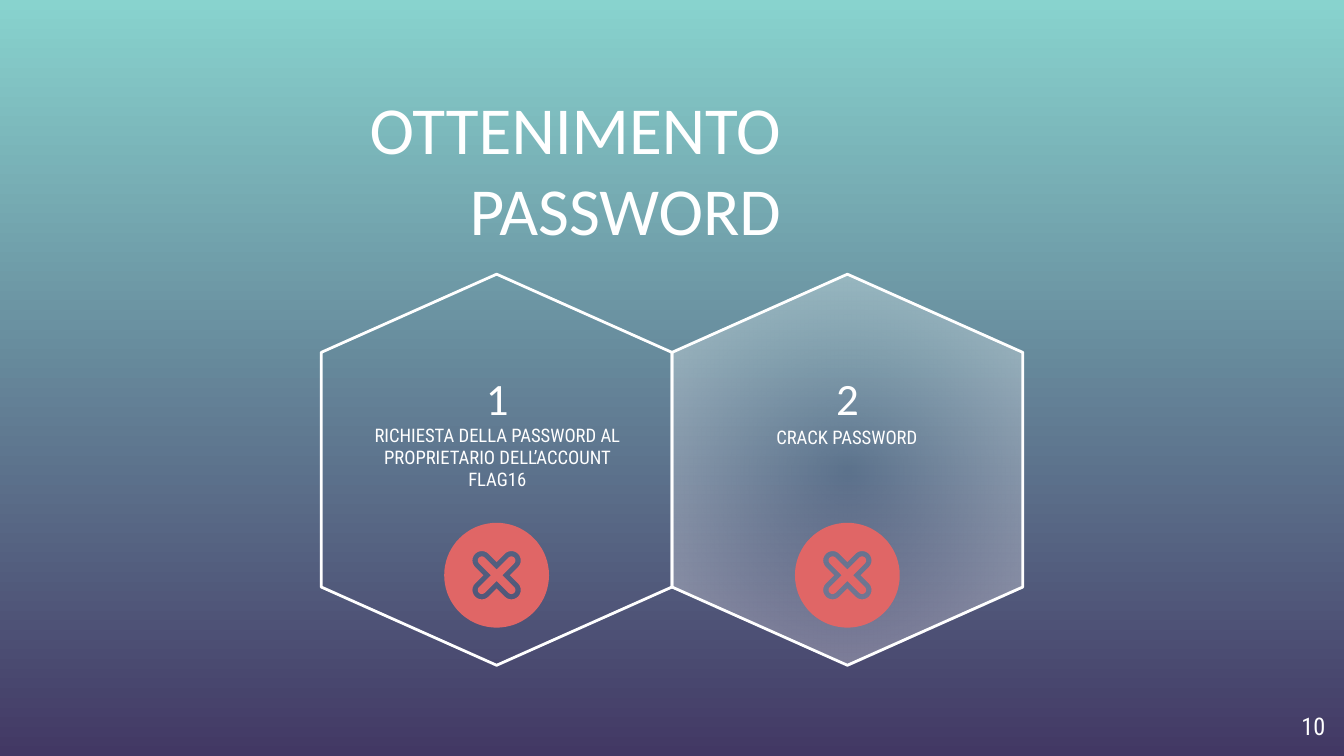
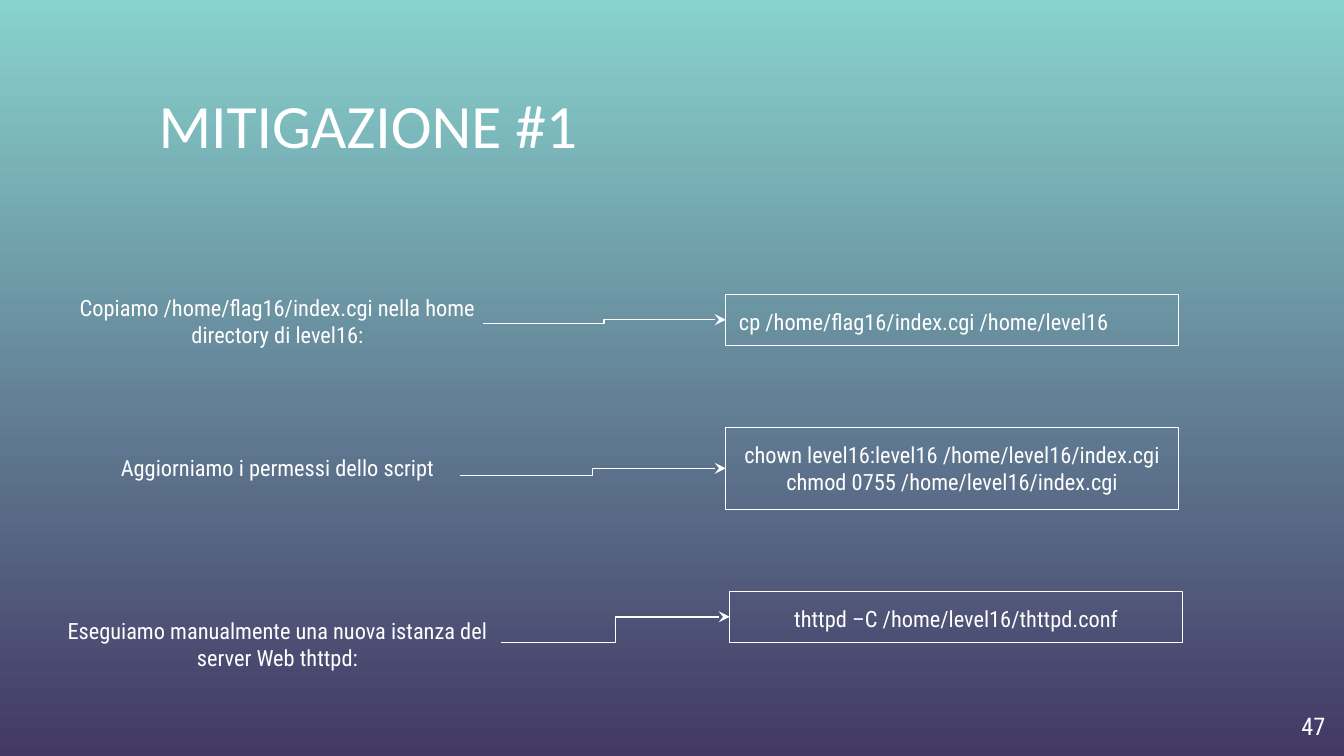
from math import cos, pi, sin, sqrt

from lxml import etree
from pptx import Presentation
from pptx.dml.color import RGBColor
from pptx.enum.shapes import MSO_CONNECTOR, MSO_SHAPE
from pptx.enum.text import MSO_ANCHOR, MSO_AUTO_SIZE, PP_ALIGN
from pptx.oxml import parse_xml
from pptx.oxml.ns import nsdecls, qn
from pptx.util import Inches, Pt

LEFT, CENTER, RIGHT = PP_ALIGN.LEFT, PP_ALIGN.CENTER, PP_ALIGN.RIGHT
TOP, BOTTOM = MSO_ANCHOR.TOP, MSO_ANCHOR.BOTTOM
HEXAGON, RECTANGLE = MSO_SHAPE.FLOWCHART_PREPARATION, MSO_SHAPE.RECTANGLE
TITLE_ONLY, TITLE_AND_BODY = 5, 1

PAGE_WIDTH = 10
PAGE_HEIGHT = PAGE_WIDTH * 9 / 16
WHITE, RED, TEAL, PURPLE = "FFFFFF", "E06666", "88D3CE", "423864"
TITLE_FONT, BODY_FONT = "Calibri", "Roboto Condensed"

ATTEMPTS = [
    # number, its box, text, its box, glowing hexagon
    ("1", (2.44, 2.97, 2.52, 0.29),
     "RICHIESTA DELLA PASSWORD AL PROPRIETARIO DELL’ACCOUNT FLAG16",
     (2.56, 3.05, 2.28, 1.31), False),
    ("2", (5, 2.97, 2.61, 0.29),
     "CRACK PASSWORD", (5.16, 3.07, 2.28, 1.31), True),
]
HEX_LEFT, HEX_TOP, HEX_LENGTH, HEX_WIDTH = 2.24, 2.19, 2.91, 2.61
ICON_Y = 4.28

STEPS = [
    # text, space before in points
    ("Copiamo /home/flag16/index.cgi nella home directory di level16:", 0),
    ("Aggiorniamo i permessi dello script", 57),
    ("Eseguiamo manualmente una nuova istanza del server Web thttpd:", 72.7),
]
COMMANDS = [
    # command, alignment, left, top, height, start of the arrow
    ("cp /home/flag16/index.cgi /home/level16",
     LEFT, 5.4, 2.19, 0.38, (3.59, 2.41)),
    ("chown level16:level16 /home/level16/index.cgi "
     "chmod 0755 /home/level16/index.cgi",
     CENTER, 5.4, 3.18, 0.61, (3.42, 3.54)),
    ("thttpd –C /home/level16/thttpd.conf",
     CENTER, 5.43, 4.4, 0.38, (3.73, 4.78)),
]
COMMAND_WIDTH = 3.37


def color(value):
    return RGBColor.from_string(value)


def inches(values):
    return [Inches(value) for value in values]


def write(shape, paragraphs, size, font=BODY_FONT, align=LEFT, anchor=TOP):
    """Fill a shape with (text, space before) paragraphs."""
    frame = shape.text_frame
    frame.word_wrap = True
    frame.auto_size = MSO_AUTO_SIZE.NONE
    frame.vertical_anchor = anchor
    frame.margin_left = frame.margin_right = Inches(0.1)
    frame.margin_top = frame.margin_bottom = Inches(0.1)
    for index, (text, space) in enumerate(paragraphs):
        para = frame.add_paragraph() if index else frame.paragraphs[0]
        para.alignment = align
        para.space_before = Pt(space)
        span = para.add_run()
        span.text = text
        span.font.name = font
        span.font.size = Pt(size)
        span.font.color.rgb = color(WHITE)


def add_text(page, place, text, size, **style):
    box = page.shapes.add_textbox(*inches(place))
    write(box, [(text, 0)], size, **style)


def place_shape(shape, place):
    shape.left, shape.top, shape.width, shape.height = inches(place)


def add_page(deck, layout, title, place, size, align, number):
    page = deck.slides.add_slide(deck.slide_layouts[layout])
    place_shape(page.shapes.title, place)
    write(page.shapes.title, [(title, 0)], size, font=TITLE_FONT, align=align)
    add_text(page, (9.36, 5.19, 0.6, 0.43), number, 13, align=RIGHT)
    return page


def add_outline(page, kind, place, weight):
    shape = page.shapes.add_shape(kind, *inches(place))
    shape.shadow.inherit = False
    shape.fill.background()
    shape.line.color.rgb = color(WHITE)
    shape.line.width = Pt(weight)
    return shape


def add_glow(shape):
    """Fill with white that grows from clear at the centre to 39% at the edge."""
    stops = "".join(
        f'<a:gs pos="{position}"><a:srgbClr val="{WHITE}">'
        f'<a:alpha val="{alpha}"/></a:srgbClr></a:gs>'
        for position, alpha in ((0, 0), (100000, 39000)))
    glow = parse_xml(
        f'<a:gradFill {nsdecls("a")}><a:gsLst>{stops}</a:gsLst>'
        '<a:path path="circle"><a:fillToRect l="50000" t="50000" '
        'r="50000" b="50000"/></a:path></a:gradFill>')
    properties = shape.element.spPr
    properties.replace(properties.find(qn("a:noFill")), glow)


def polar(x, y, radius, angle):
    return Inches(x + radius * cos(angle)), Inches(y + radius * sin(angle))


def circle(x, y, radius, count=72):
    return [polar(x, y, radius, 2 * pi * i / count) for i in range(count)]


def rounded_cross(x, y, radius, reach=0.11, count=12):
    """Outline of a diagonal cross whose arms end in half circles."""
    points = []
    for arm in range(4):
        angle = pi / 4 + arm * pi / 2
        tip_x = x + reach * sqrt(2) * cos(angle)
        tip_y = y + reach * sqrt(2) * sin(angle)
        points += [polar(tip_x, tip_y, radius, angle - pi / 2 + pi * i / count)
                   for i in range(count + 1)]
        points.append(polar(x, y, radius * sqrt(2), angle + pi / 4))
    return points


def add_cross_icon(page, x, y):
    icon = page.shapes.add_group_shape()
    inner_cross = [rounded_cross(x, y, 0.03)]
    pierced_disc = [circle(x, y, 0.39), rounded_cross(x, y, 0.07)]
    for contours in (inner_cross, pierced_disc):
        builder = icon.shapes.build_freeform(*contours[0][0], scale=1.0)
        for index, points in enumerate(contours):
            if index:
                builder.move_to(*points[0])
            builder.add_line_segments(points[1:], close=True)
        part = builder.convert_to_shape()
        part.shadow.inherit = False
        part.fill.solid()
        part.fill.fore_color.rgb = color(RED)
        part.line.fill.background()


def add_arrow(page, start, end):
    arrow = page.shapes.add_connector(
        MSO_CONNECTOR.ELBOW, *inches(start), *inches(end))
    arrow.line.color.rgb = color(WHITE)
    arrow.line.width = Pt(0.75)
    properties = arrow.element.spPr
    etree.SubElement(properties.find(qn("a:ln")), qn("a:tailEnd"), type="stealth")
    etree.SubElement(properties, qn("a:effectLst"))


def set_background(deck):
    fill = deck.slide_master.background.fill
    fill.gradient()
    fill.gradient_angle = 270
    for stop, position, value in zip(fill.gradient_stops, (0, 1), (TEAL, PURPLE)):
        stop.position = position
        stop.color.rgb = color(value)


def build_attempts(deck):
    page = add_page(deck, TITLE_ONLY, "OTTENIMENTO PASSWORD",
                    (1.06, 0.55, 4.85, 0.73), 36, RIGHT, "10")
    for index, (number, number_place, text, text_place, glowing) in enumerate(ATTEMPTS):
        left = HEX_LEFT + index * HEX_WIDTH
        hexagon = add_outline(
            page, HEXAGON, (left, HEX_TOP, HEX_LENGTH, HEX_WIDTH), 1.5)
        hexagon.rotation = 90
        if glowing:
            add_glow(hexagon)
        add_text(page, number_place, number, 24,
                 font=TITLE_FONT, align=CENTER, anchor=BOTTOM)
        add_text(page, text_place, text, 10, align=CENTER)
        add_cross_icon(page, left + HEX_LENGTH / 2, ICON_Y)


def build_mitigation(deck):
    page = add_page(deck, TITLE_AND_BODY, "MITIGAZIONE #1",
                    (1.08, 0.55, 6.14, 0.73), 33, LEFT, "47")
    body = page.placeholders[1]
    place_shape(body, (0.27, 2.09, 3.59, 3.15))
    write(body, STEPS, 12, align=CENTER)
    for para in body.text_frame.paragraphs:
        properties = para._p.get_or_add_pPr()
        properties.set("marL", "0")
        properties.set("indent", "0")
        etree.SubElement(properties, qn("a:buNone"))
    for command, align, left, top, height, start in COMMANDS:
        box = add_outline(page, RECTANGLE, (left, top, COMMAND_WIDTH, height), 0.75)
        write(box, [(command, 0)], 12, align=align)
        add_arrow(page, start, (left, top + height / 2))


def main():
    deck = Presentation()
    deck.slide_width, deck.slide_height = inches((PAGE_WIDTH, PAGE_HEIGHT))
    set_background(deck)
    build_attempts(deck)
    build_mitigation(deck)
    deck.save("out.pptx")


if __name__ == "__main__":
    main()
